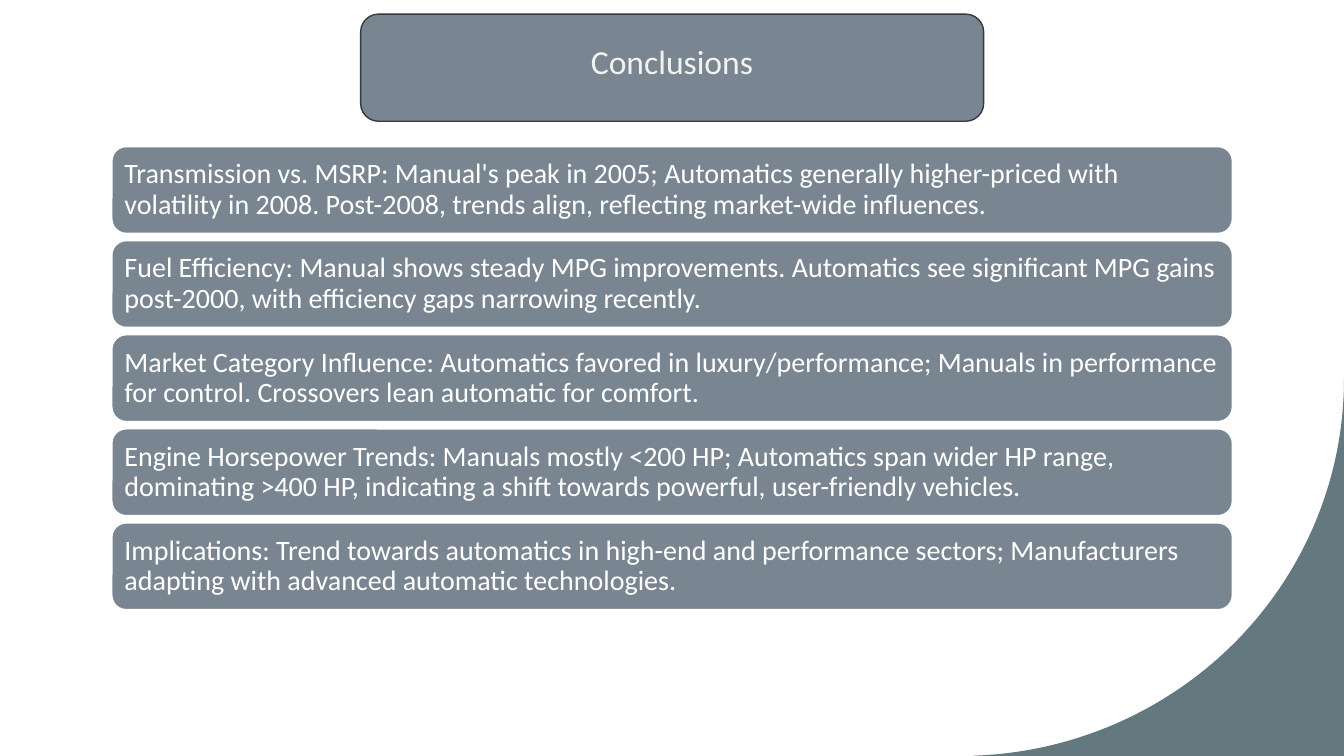
"""Build the Conclusions slide with five takeaway bars and a corner curve."""
from dataclasses import dataclass
from math import cos, radians, sin

from pptx import Presentation
from pptx.dml.color import RGBColor
from pptx.enum.shapes import MSO_SHAPE
from pptx.enum.text import MSO_ANCHOR, PP_ALIGN
from pptx.shapes.autoshape import Shape
from pptx.slide import Slide
from pptx.util import Pt

ROUNDED = MSO_SHAPE.ROUNDED_RECTANGLE
PROCESS = MSO_SHAPE.FLOWCHART_ALTERNATE_PROCESS
MIDDLE = MSO_ANCHOR.MIDDLE
LEFT, CENTER = PP_ALIGN.LEFT, PP_ALIGN.CENTER
TITLE_ONLY = 5


@dataclass(frozen=True)
class Theme:
    font: str = "Calibri"
    title_size: int = 24
    body_size: int = 20
    panel: RGBColor = RGBColor(0x7A, 0x85, 0x92)
    panel_line: RGBColor = RGBColor(0x35, 0x3A, 0x40)
    corner: RGBColor = RGBColor(0x63, 0x78, 0x7F)
    title_text: RGBColor = RGBColor(0xF2, 0xF3, 0xF1)
    white: RGBColor = RGBColor(0xFF, 0xFF, 0xFF)


@dataclass(frozen=True)
class Box:
    left: float
    top: float
    width: float
    height: float


THEME = Theme()
PAGE = Box(0, 0, 960, 540)
TITLE_PANEL = Box(257.6, 10.1, 445, 76.5)
TITLE_TEXT = Box(379.5, 25.2, 201, 36.4)
FIRST_BAR = Box(79.9, 104.7, 800.4, 62)
BAR_PITCH = 67.2
TAKEAWAYS = (
    "Transmission vs. MSRP: Manual's peak in 2005; Automatics generally higher-priced with volatility in 2008. "
    "Post-2008, trends align, reflecting market-wide influences.",
    "Fuel Efficiency: Manual shows steady MPG improvements. Automatics see significant MPG gains post-2000, "
    "with efficiency gaps narrowing recently.",
    "Market Category Influence: Automatics favored in luxury/performance; Manuals in performance for control. "
    "Crossovers lean automatic for comfort.",
    "Engine Horsepower Trends: Manuals mostly <200 HP; Automatics span wider HP range, dominating >400 HP, "
    "indicating a shift towards powerful, user-friendly vehicles.",
    "Implications: Trend towards automatics in high-end and performance sectors; Manufacturers adapting "
    "with advanced automatic technologies.",
)


def add_corner(page: Slide) -> None:
    center_x, center_y, radius_x, radius_y = 686, 271, 274, 269
    arc = [
        (Pt(center_x + radius_x * cos(radians(angle))), Pt(center_y + radius_y * sin(radians(angle))))
        for angle in range(0, 89)
    ]
    builder = page.shapes.build_freeform(Pt(PAGE.width), Pt(PAGE.height))
    builder.add_line_segments(arc + [(arc[-1][0], Pt(PAGE.height))], close=True)
    corner = builder.convert_to_shape()
    corner.shadow.inherit = False
    corner.fill.solid()
    corner.fill.fore_color.rgb = THEME.corner
    corner.line.fill.background()


def add_panel(page: Slide, kind: MSO_SHAPE, box: Box, line: RGBColor) -> Shape:
    panel = page.shapes.add_shape(kind, Pt(box.left), Pt(box.top), Pt(box.width), Pt(box.height))
    panel.shadow.inherit = False
    panel.fill.solid()
    panel.fill.fore_color.rgb = THEME.panel
    panel.line.color.rgb = line
    panel.line.width = Pt(1)
    return panel


def write(shape: Shape, text: str, size: int, color: RGBColor, align: PP_ALIGN, margin: float) -> None:
    frame = shape.text_frame
    frame.text = text
    frame.word_wrap = True
    frame.vertical_anchor = MIDDLE
    frame.margin_left = frame.margin_right = Pt(margin)
    frame.margin_top = frame.margin_bottom = Pt(3.6)
    para = frame.paragraphs[0]
    para.alignment = align
    para.line_spacing = 0.9 if align == LEFT else 1.0
    para.font.name = THEME.font
    para.font.size = Pt(size)
    para.font.color.rgb = color


def add_title(page: Slide) -> None:
    add_panel(page, PROCESS, TITLE_PANEL, THEME.panel_line)
    title = page.shapes.title
    title.left, title.top = Pt(TITLE_TEXT.left), Pt(TITLE_TEXT.top)
    title.width, title.height = Pt(TITLE_TEXT.width), Pt(TITLE_TEXT.height)
    write(title, "Conclusions", THEME.title_size, THEME.title_text, CENTER, 7.2)
    title.element.getparent().append(title.element)


def main() -> None:
    deck = Presentation()
    deck.slide_width, deck.slide_height = Pt(PAGE.width), Pt(PAGE.height)
    page = deck.slides.add_slide(deck.slide_layouts[TITLE_ONLY])
    add_corner(page)
    for row, takeaway in enumerate(TAKEAWAYS):
        box = Box(FIRST_BAR.left, FIRST_BAR.top + row * BAR_PITCH, FIRST_BAR.width, FIRST_BAR.height)
        bar = add_panel(page, ROUNDED, box, THEME.white)
        write(bar, takeaway, THEME.body_size, THEME.white, LEFT, 6)
    add_title(page)
    deck.save("out.pptx")


if __name__ == "__main__":
    main()
